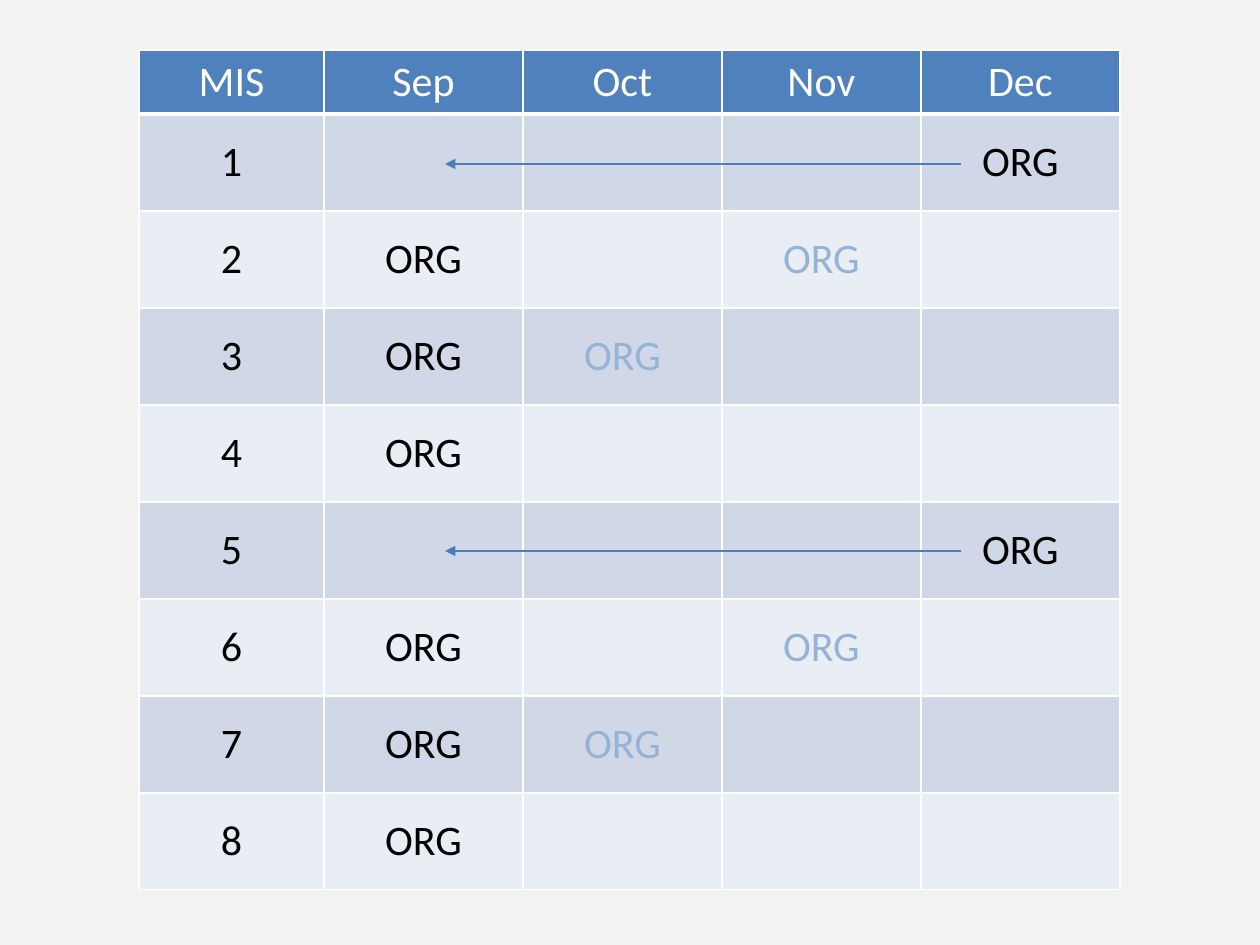
from lxml import etree
from pptx import Presentation
from pptx.dml.color import RGBColor
from pptx.enum.shapes import MSO_CONNECTOR
from pptx.enum.text import MSO_ANCHOR, PP_ALIGN
from pptx.oxml.ns import qn
from pptx.util import Emu, Pt

PX = 914400 // 126

BACKGROUND = RGBColor(0xF2, 0xF2, 0xF2)
WHITE = RGBColor(0xFF, 0xFF, 0xFF)
BLACK = RGBColor(0x00, 0x00, 0x00)
HEADER = RGBColor(0x4F, 0x81, 0xBD)
BAND_DARK = RGBColor(0xD0, 0xD8, 0xE8)
BAND_LIGHT = RGBColor(0xE9, 0xED, 0xF4)
FADED = RGBColor(0x95, 0xB3, 0xD7)
ARROW = RGBColor(0x4B, 0x7E, 0xBC)

MONTHS = ["Sep", "Oct", "Nov", "Dec"]
# Each row of the four-row cycle: month of ORG, month of faded ORG
CYCLE = [("Dec", None), ("Sep", "Nov"), ("Sep", "Oct"), ("Sep", None)]
ROW_COUNT = 8

LEFT, TOP = 139, 50
COL_WIDTHS = [185] + [199] * len(MONTHS)
HEADER_H, ROW_H = 63, 97


def px(n):
    return Emu(n * PX)


def write(tf, text, *, color=BLACK, size=24, font="Calibri", align=PP_ALIGN.CENTER):
    p = tf.paragraphs[0]
    p.alignment = align
    r = p.add_run()
    r.text = text
    r.font.name = font
    r.font.size = Pt(size)
    r.font.color.rgb = color


def set_borders(cell, bottom=1):
    tc_pr = cell._tc.get_or_add_tcPr()
    widths = {"lnL": 1, "lnR": 1, "lnT": 1, "lnB": bottom}
    for i, (side, width) in enumerate(widths.items()):
        ln = etree.Element(qn(f"a:{side}"), w=str(Pt(width)))
        fill = etree.SubElement(ln, qn("a:solidFill"))
        etree.SubElement(fill, qn("a:srgbClr"), val=str(WHITE))
        tc_pr.insert(i, ln)


def fill_cell(cell, text, fill, *, color=BLACK, bottom=1):
    cell.fill.solid()
    cell.fill.fore_color.rgb = fill
    cell.vertical_anchor = MSO_ANCHOR.MIDDLE
    set_borders(cell, bottom)
    if text:
        write(cell.text_frame, text, color=color)


def add_schedule(slide):
    table = slide.shapes.add_table(
        ROW_COUNT + 1, len(COL_WIDTHS), px(LEFT), px(TOP),
        px(sum(COL_WIDTHS)), px(HEADER_H + ROW_COUNT * ROW_H)).table
    for col, width in zip(table.columns, COL_WIDTHS):
        col.width = px(width)
    for i, row in enumerate(table.rows):
        row.height = px(ROW_H if i else HEADER_H)

    # Header row
    for c, title in enumerate(["MIS"] + MONTHS):
        fill_cell(table.cell(0, c), title, HEADER, color=WHITE, bottom=3)

    # Numbered rows
    for n in range(1, ROW_COUNT + 1):
        band = BAND_DARK if n % 2 else BAND_LIGHT
        current, previous = CYCLE[(n - 1) % len(CYCLE)]
        fill_cell(table.cell(n, 0), str(n), band)
        for c, month in enumerate(MONTHS, start=1):
            text = "ORG" if month in (current, previous) else ""
            color = FADED if month == previous else BLACK
            fill_cell(table.cell(n, c), text, band, color=color)


def add_arrow(slide, x1, x2, y):
    line = slide.shapes.add_connector(
        MSO_CONNECTOR.STRAIGHT, px(x1), px(y), px(x2), px(y))
    line.line.color.rgb = ARROW
    line.line.width = Pt(0.75)
    ln = line.line._get_or_add_ln()
    etree.SubElement(ln, qn("a:tailEnd"), type="triangle")
    etree.SubElement(line._element.spPr, qn("a:effectLst"))


def main():
    prs = Presentation()
    prs.slide_width, prs.slide_height = px(1260), px(945)
    slide = prs.slides.add_slide(prs.slide_layouts[6])
    slide.background.fill.solid()
    slide.background.fill.fore_color.rgb = BACKGROUND

    add_schedule(slide)
    # Moves from Dec back to Sep
    for y in (164, 551):
        add_arrow(slide, 961, 445, y)

    prs.save("out.pptx")


if __name__ == "__main__":
    main()
